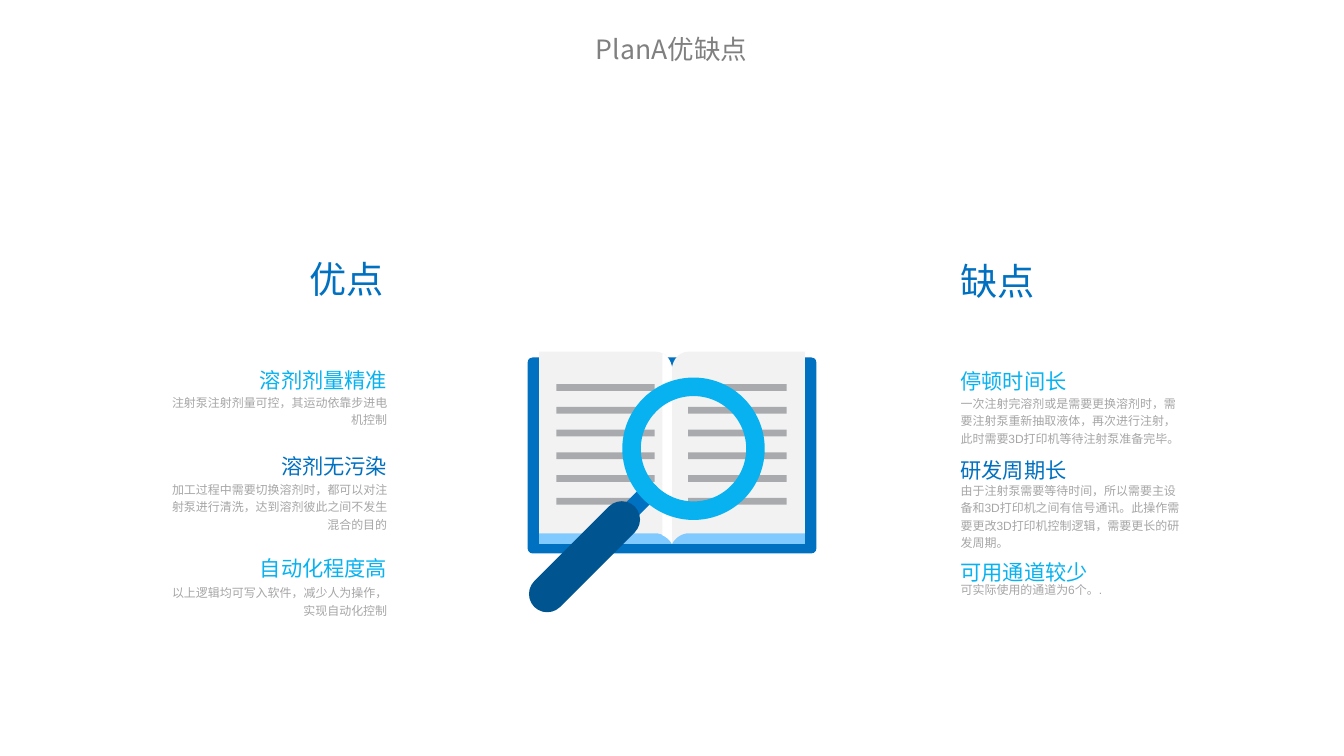
import pptx
import pptx.dml.color
import pptx.enum.shapes
import pptx.enum.text
import pptx.util

RGB = pptx.dml.color.RGBColor
BLUE = RGB(0x00, 0x70, 0xC0)
CYAN = RGB(0x08, 0xB2, 0xF0)
NAVY = RGB(0x00, 0x54, 0x90)
SKY = RGB(0x80, 0xCA, 0xFF)
PAPER = RGB(0xF2, 0xF2, 0xF2)
WHITE = RGB(0xFF, 0xFF, 0xFF)
RULE = RGB(0xA8, 0xAA, 0xAD)
BODY_GREY = RGB(0xA6, 0xA6, 0xA6)
TITLE_GREY = RGB(0x80, 0x80, 0x80)

SHAPE = pptx.enum.shapes.MSO_SHAPE
ALIGN = pptx.enum.text.PP_ALIGN
CELL = pptx.util.Inches(0.1)
SPINE = 70.3

PROS = [
    (37.9, 41.1, 3.6, CYAN, "溶剂剂量精准", "注射泵注射剂量可控，其运动依靠步进电机控制"),
    (46.9, 50.2, 5.4, BLUE, "溶剂无污染",
     "加工过程中需要切换溶剂时，都可以对注射泵进行清洗，达到溶剂彼此之间不发生混合的目的"),
    (57.6, 61, 3.6, CYAN, "自动化程度高", "以上逻辑均可写入软件，减少人为操作，实现自动化控制"),
]
CONS = [
    (38, 41.2, 5.4, CYAN, "停顿时间长",
     "一次注射完溶剂或是需要更换溶剂时，需要注射泵重新抽取液体，再次进行注射，此时需要3D打印机等待注射泵准备完毕。"),
    (47.3, 50.3, 7.3, BLUE, "研发周期长",
     "由于注射泵需要等待时间，所以需要主设备和3D打印机之间有信号通讯。此操作需要更改3D打印机控制逻辑，需要更长的研发周期。"),
    (58, 60.6, 1.8, CYAN, "可用通道较少", "可实际使用的通道为6个。."),
]


def cells(*values):
    return [round(v * CELL) for v in values]


def bezier(a, b, c, d, steps=12):
    points = []
    for i in range(steps + 1):
        t = i / steps
        u = 1 - t
        points.append(tuple(u**3 * p + 3 * u * u * t * q + 3 * u * t * t * r + t**3 * s
                            for p, q, r, s in zip(a, b, c, d)))
    return points


class Deck:
    def __init__(self, s, font="Arial"):
        self.s = s
        self.font = font

    def paint(self, sp, fill):
        sp.shadow.inherit = False
        sp.fill.solid()
        sp.fill.fore_color.rgb = fill
        sp.line.fill.background()

    def shape(self, kind, box, fill, adjust=None, rotation=0):
        sp = self.s.shapes.add_shape(kind, *cells(*box))
        self.paint(sp, fill)
        if adjust is not None:
            sp.adjustments[0] = adjust
        sp.rotation = rotation

    def outline(self, points, fill):
        points = [cells(*p) for p in points]
        builder = self.s.shapes.build_freeform(*points[0], scale=1.0)
        builder.add_line_segments(points[1:], close=True)
        self.paint(builder.convert_to_shape(), fill)

    def set_text(self, sp, box, text, size, color, align, before=0, after=0,
                 spacing=1.2, font=None, inset=(0, 0)):
        sp.left, sp.top, sp.width, sp.height = cells(*box)
        tf = sp.text_frame
        tf.word_wrap = True
        tf.auto_size = pptx.enum.text.MSO_AUTO_SIZE.NONE
        tf.vertical_anchor = pptx.enum.text.MSO_ANCHOR.TOP
        tf.margin_left = tf.margin_right = cells(inset[0])[0]
        tf.margin_top = tf.margin_bottom = cells(inset[1])[0]
        tf.text = text
        p = tf.paragraphs[0]
        p.alignment = align
        p.line_spacing = spacing
        p.space_before = pptx.util.Pt(before)
        p.space_after = pptx.util.Pt(after)
        p.font.name = font or self.font
        p.font.size = pptx.util.Pt(size)
        p.font.bold = False
        p.font.color.rgb = color

    def textbox(self, box, *args, **style):
        self.set_text(self.s.shapes.add_textbox(0, 0, 0, 0), box, *args, **style)

    def placeholder(self, idx, box, *args, **style):
        self.set_text(self.s.placeholders[idx], box, *args, **style)

    def drop_placeholder(self, idx):
        sp = self.s.placeholders[idx].element
        sp.getparent().remove(sp)

    def column(self, left, items, align):
        for head_top, body_top, body_height, color, head, body in items:
            self.textbox((left, head_top, 23.7, 3.2), head, 16, color, align)
            self.textbox((left, body_top, 23.7, body_height), body, 9, BODY_GREY,
                         align, before=1.8)

    def book(self):
        self.shape(SHAPE.ROUNDED_RECTANGLE, (55.2, 37.4, 30.2, 20.5), BLUE, 0.025)
        self.shape(SHAPE.RECTANGLE, (56.4, 55.7, 27.8, 1.2), SKY)
        page = [*bezier((0, 38.5), (0.1, 37.6), (0.8, 36.8), (1.7, 36.8)),
                (13.9, 36.8), (13.9, 55.8),
                *bezier((1.7, 55.8), (1, 55.8), (0.3, 56.3), (0, 56.9))]
        for side in (1, -1):
            self.outline([(SPINE + side * x, y) for x, y in page], PAPER)
        fold = [*bezier((0, 38.5), (-0.1, 37.8), (-0.4, 37.3), (-1, 37)),
                *bezier((-1, 56), (-0.6, 56.2), (-0.2, 56.5), (0, 56.9))]
        self.outline([(SPINE + x, y) for x, y in fold], WHITE)
        for left in (72, 58.2):
            for row in range(6):
                self.shape(SHAPE.RECTANGLE, (left, 40.2 + 2.38 * row, 10.3, 0.7), RULE)

    def magnifier(self):
        for x, y, length, width, fill in ((62.6, 56.8, 17, 1.9, BLUE),
                                          (61.15, 58.25, 14.85, 3.82, NAVY)):
            self.shape(SHAPE.ROUNDED_RECTANGLE,
                       (x - length / 2, y - width / 2, length, width), fill, 0.5, -45)
        self.shape(SHAPE.DONUT, (65.1, 39.5, 14.9, 14.9), CYAN, 0.13)


def main():
    prs = pptx.Presentation()
    prs.slide_width = pptx.util.Inches(14.06)
    prs.slide_height = pptx.util.Inches(7.91)
    deck = Deck(prs.slides.add_slide(prs.slide_layouts[4]))
    deck.placeholder(0, (53.5, 2.9, 33.5, 4.1), "PlanA优缺点", 20, TITLE_GREY,
                     ALIGN.CENTER, before=4, after=6, spacing=1.0,
                     font="Noto Sans CJK SC", inset=(1.1, 0.5))
    deck.placeholder(1, (16.4, 25.9, 23.7, 5.6), "优点", 28, BLUE, ALIGN.RIGHT)
    deck.placeholder(3, (100.5, 26.1, 23.7, 5.6), "缺点", 28, BLUE, ALIGN.LEFT)
    for idx in (2, 4):
        deck.drop_placeholder(idx)
    deck.book()
    deck.magnifier()
    deck.column(16.8, PROS, ALIGN.RIGHT)
    deck.column(100.5, CONS, ALIGN.LEFT)
    prs.save("out.pptx")


if __name__ == "__main__":
    main()
